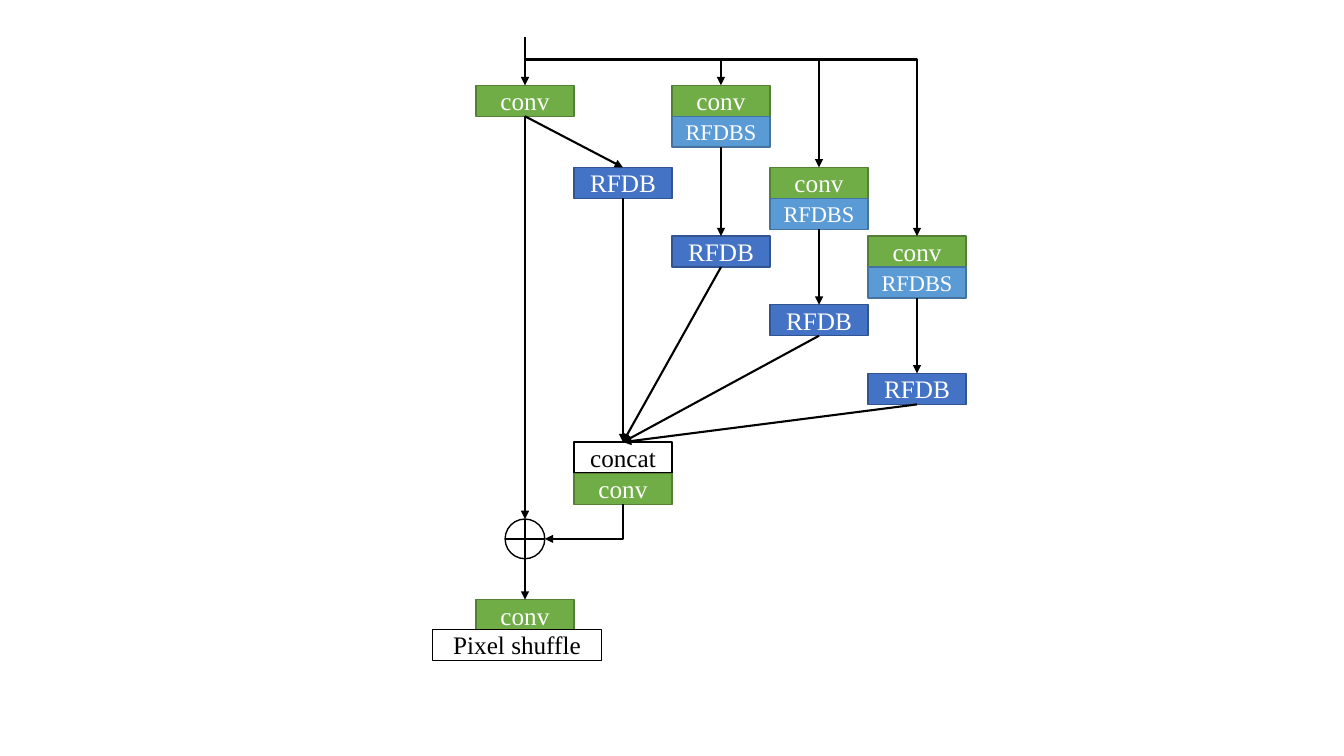
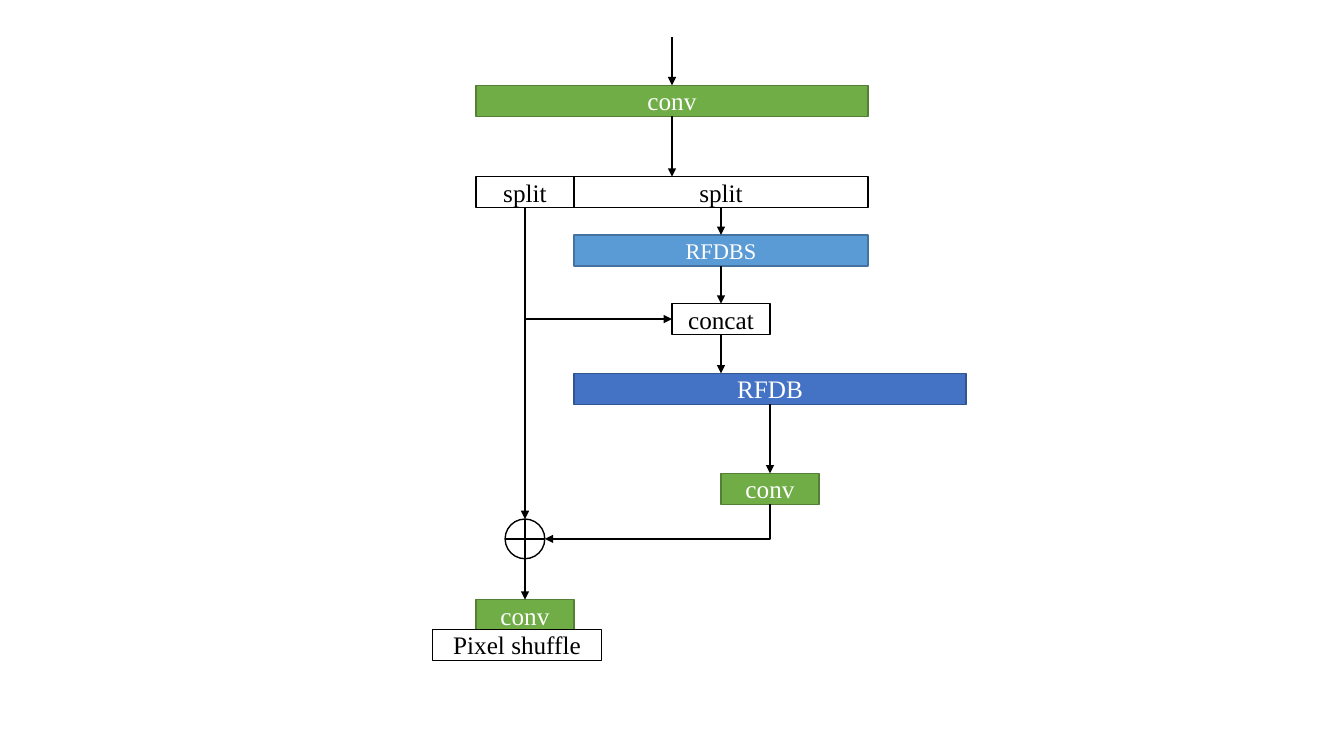
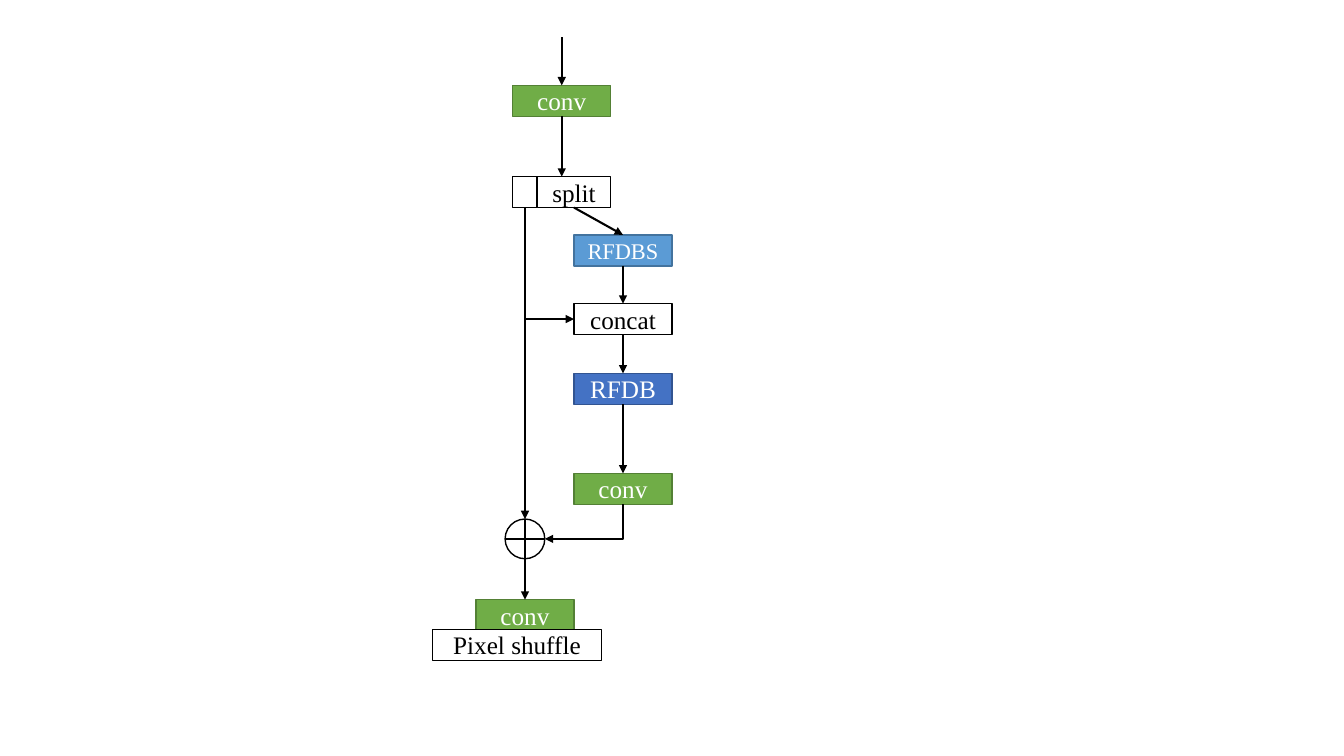
from dataclasses import dataclass
from lxml.etree import SubElement
from pptx import Presentation
from pptx.dml.color import RGBColor
from pptx.enum.shapes import MSO_CONNECTOR, MSO_SHAPE
from pptx.enum.text import MSO_ANCHOR, PP_ALIGN
from pptx.oxml.ns import qn
from pptx.util import Cm, Pt


@dataclass(frozen=True)
class Style:
    fill: str
    edge: str
    ink: str = "FFFFFF"
    size: int = 18


class Theme:
    font = "Times New Roman"
    ink = "000000"
    edge = 1
    wire = 1.5
    conv = Style("70AD47", "538035")
    deep = Style("4472C4", "325491")
    slim = Style("5B9BD5", "43739E", size=16)
    plain = Style("FFFFFF", "000000", "000000")


# Shared grid, in centimetres
WIDE, HIGH = 2.47, 0.78
ENTRY, FIRST = 0.94, 2.15
SPLIT, SLIM, CONCAT, DEEP, LAST = 4.45, 5.92, 7.65, 9.41, 11.93
SUM, SUM_TOP = 1.0, 13.08
END, SHUFFLE = 15.11, 15.86


def col(num):
    """Centre of a column."""
    return 13.23 + num * WIDE


def row(num):
    """Top of a step in the staircase."""
    return 4.22 + num * 1.73


def put(item, **vals):
    for key, val in vals.items():
        setattr(item, key, val)


def shape(slide, kind, style, mid, top, wide, high):
    item = slide.shapes.add_shape(
        kind, Cm(mid - wide / 2), Cm(top), Cm(wide), Cm(high))
    item.shadow.inherit = False
    item.fill.solid()
    item.fill.fore_color.rgb = RGBColor.from_string(style.fill)
    item.line.color.rgb = RGBColor.from_string(style.edge)
    item.line.width = Pt(Theme.edge)
    return item


def box(slide, style, text, mid, top, wide=WIDE):
    item = shape(slide, MSO_SHAPE.RECTANGLE, style, mid, top, wide, HIGH)
    if text:
        frame = item.text_frame
        put(frame, text=text, word_wrap=True, vertical_anchor=MSO_ANCHOR.MIDDLE)
        para = frame.paragraphs[0]
        para.alignment = PP_ALIGN.CENTER
        font = para.runs[0].font
        put(font, name=Theme.font, size=Pt(style.size))
        font.color.rgb = RGBColor.from_string(style.ink)
    return item


def wire(slide, kind, start, end):
    """Black connector with an arrowhead at its end."""
    item = slide.shapes.add_connector(kind, *map(Cm, start + end))
    item.line.color.rgb = RGBColor.from_string(Theme.ink)
    item.line.width = Pt(Theme.wire)
    props = item.element.spPr
    SubElement(props.find(qn("a:ln")), qn("a:tailEnd"), type="triangle")
    SubElement(props, qn("a:effectLst"))
    return item


def arrow(slide, start, end):
    """Straight arrow; each end is a box or a point."""
    ends = [spot if isinstance(spot, tuple) else (0, 0) for spot in (start, end)]
    item = wire(slide, MSO_CONNECTOR.STRAIGHT, *ends)
    if not isinstance(start, tuple):
        item.begin_connect(start, 2)
    if not isinstance(end, tuple):
        item.end_connect(end, 0)


def bend(slide, start, end, down=False):
    """Arrow with one corner, going across first or down first."""
    item = wire(slide, MSO_CONNECTOR.ELBOW, start, end)
    props = item.element.spPr
    props.find(qn("a:prstGeom")).set("prst", "bentConnector2")
    if down:
        (x1, y1), (x2, y2) = start, end
        wide, high = abs(y2 - y1), abs(x2 - x1)
        put(item, left=Cm((x1 + x2 - wide) / 2), top=Cm((y1 + y2 - high) / 2),
            width=Cm(wide), height=Cm(high))
        right = x2 > x1
        put(props.get_or_add_xfrm(), rot=270 if right else 90, flipH=right)


def finish(slide, stem, mid):
    """Last conv, sum node and output, with the stem running into the sum."""
    last = box(slide, Theme.conv, "conv", mid, LAST)
    node = shape(slide, MSO_SHAPE.FLOWCHART_OR, Theme.plain,
                 col(0), SUM_TOP, SUM, SUM)
    bend(slide, (mid, LAST + HIGH),
         (col(0) + SUM / 2, SUM_TOP + SUM / 2), down=True)
    arrow(slide, stem, node)
    final = box(slide, Theme.conv, "conv", col(0), END)
    box(slide, Theme.plain, "Pixel shuffle", 13.03, SHUFFLE, 4.27)
    arrow(slide, (col(0), SUM_TOP + SUM), final)
    return last


def stairs(slide):
    """Parallel branches that meet in one concat."""
    stem = box(slide, Theme.conv, "conv", col(0), FIRST)
    arrow(slide, (col(0), ENTRY), stem)
    concat = box(slide, Theme.plain, "concat", col(1), row(4))
    for num in range(1, 5):
        head = stem
        if num > 1:
            top = FIRST if num == 2 else row(num - 3)
            box(slide, Theme.conv, "conv", col(num), top)
            head = box(slide, Theme.slim, "RFDBS", col(num), top + HIGH)
            bend(slide, (col(0), 1.5), (col(num), top))
        deep = box(slide, Theme.deep, "RFDB", col(num), row(num - 1))
        arrow(slide, head, deep)
        arrow(slide, deep, concat)
    finish(slide, stem, col(1))


def chain(slide, head, parts, slim, concat, deep):
    """Split branch; head, slim and deep are (centre, width) pairs,
    parts are the (text, centre, width) of the split boxes."""
    first = box(slide, Theme.conv, "conv", head[0], FIRST, head[1])
    arrow(slide, (head[0], ENTRY), first)
    stem, rest = [box(slide, Theme.plain, text, mid, SPLIT, wide)
                  for text, mid, wide in parts]
    arrow(slide, first, (head[0], SPLIT))
    thin = box(slide, Theme.slim, "RFDBS", slim[0], SLIM, slim[1])
    arrow(slide, rest, thin)
    join = box(slide, Theme.plain, "concat", concat, CONCAT)
    arrow(slide, thin, join)
    bend(slide, (col(0), SPLIT + HIGH),
         (concat - WIDE / 2, CONCAT + HIGH / 2), down=True)
    core = box(slide, Theme.deep, "RFDB", deep[0], DEEP, deep[1])
    arrow(slide, join, (concat, DEEP))
    arrow(slide, core, finish(slide, stem, deep[0]))


def main():
    deck = Presentation()
    put(deck, slide_width=Cm(33.87), slide_height=Cm(19.05))
    blank = deck.slide_layouts[6]

    # Parallel branches
    stairs(deck.slides.add_slide(blank))

    # Wide split branch
    chain(deck.slides.add_slide(blank),
          head=(col(1.5), 4 * WIDE),
          parts=[("split", col(0), WIDE), ("split", col(2), 3 * WIDE)],
          slim=(col(2), 3 * WIDE), concat=col(2), deep=(col(2.5), 4 * WIDE))

    # Narrow split branch
    chain(deck.slides.add_slide(blank),
          head=(col(3 / 8), WIDE),
          parts=[("", col(0), WIDE / 4), ("split", col(1 / 2), 3 * WIDE / 4)],
          slim=(col(1), WIDE), concat=col(1), deep=(col(1), WIDE))

    deck.save("out.pptx")


if __name__ == "__main__":
    main()
